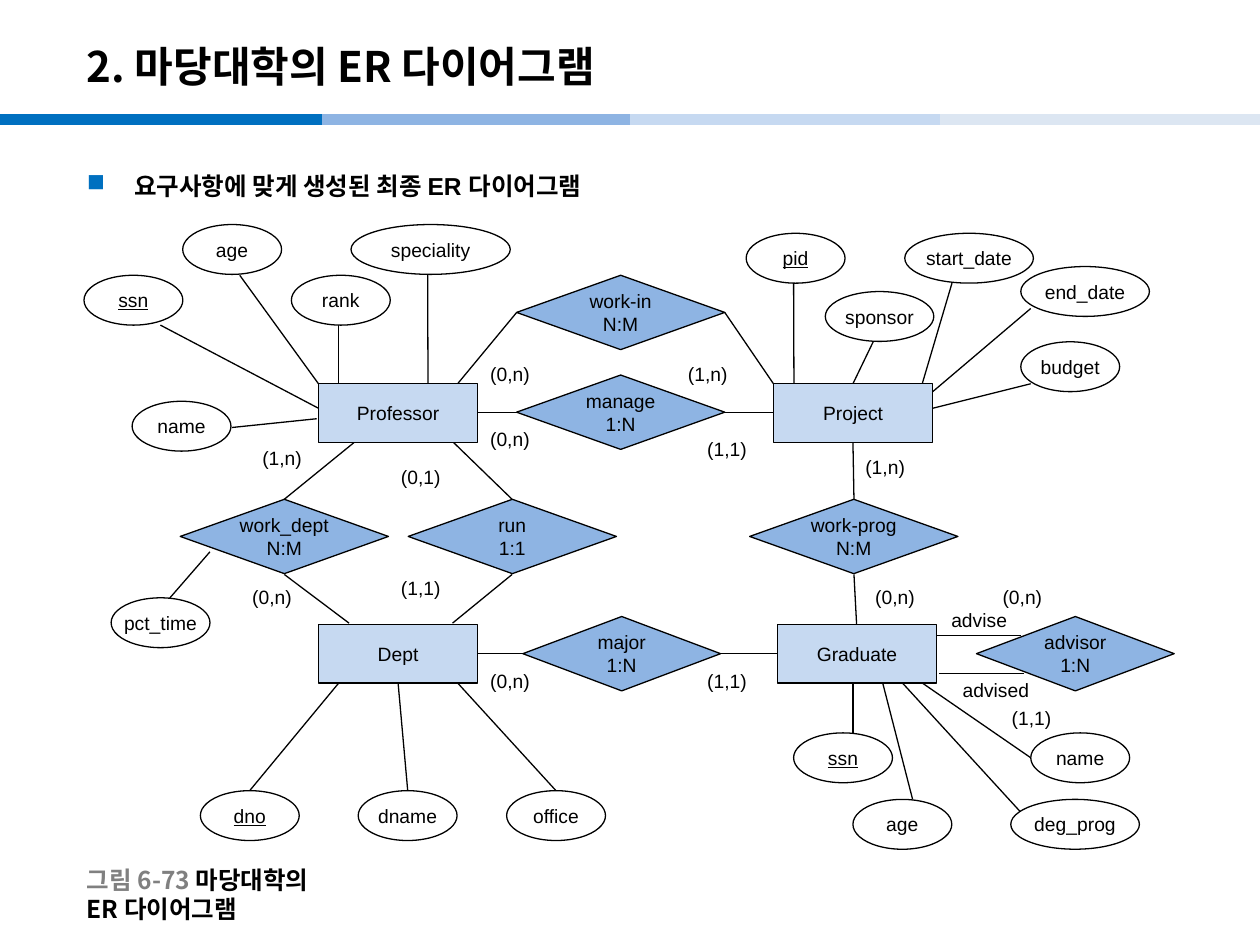
import collections
import pptx
import pptx.dml.color
import pptx.enum.shapes
import pptx.enum.text
import pptx.oxml
import pptx.oxml.ns
import pptx.util

Pt = pptx.util.Pt
Shape = pptx.enum.shapes.MSO_SHAPE
Align = pptx.enum.text.PP_ALIGN
Anchor = pptx.enum.text.MSO_ANCHOR
AutoSize = pptx.enum.text.MSO_AUTO_SIZE
Box = collections.namedtuple("Box", "left top width height")


class Theme:
    ink, muted, paper = "000000", "808080", "FFFFFF"
    accent, relationship, entity, pale = "0070C0", "8EB4E3", "C6D9F1", "DCE6F2"
    latin, korean = "Arial", "Noto Sans CJK KR"
    title, lead, label = 24, 14, 11
    rule, stripe = 0.75, 6


ENTITIES = [
    ("Professor", 134, 91), ("Project", 394, 91),
    ("Dept", 134, 228.5), ("Graduate", 396.3, 228.5),
]
RELATIONSHIPS = [
    ("work-in", "N:M", 247.2, 29, 119), ("manage", "1:N", 247.2, 86, 119),
    ("work_dept", "N:M", 55, 157, 119), ("run", "1:1", 185.3, 157, 119),
    ("work-prog", "N:M", 380.4, 157, 119),
    ("major", "1:N", 250.8, 224, 113), ("advisor", "1:N", 510, 224, 113),
]
ATTRIBUTES = [
    ("age", 56.4, 0, 56.5), ("ssn", 0, 29, 56.5), ("rank", 118.5, 29, 56.5),
    ("speciality", 152.6, 0, 91), ("name", 27.5, 101, 56.5),
    ("pct_time", 15.5, 213.3, 56.5),
    ("pid", 378.4, 5, 56.5), ("sponsor", 423.6, 38.3, 62),
    ("start_date", 469, 5, 73.5), ("end_date", 535.3, 24, 73.5),
    ("budget", 535.3, 67, 56.5),
    ("dno", 66.5, 323.5, 56.5), ("dname", 156.7, 323.5, 56.5),
    ("office", 241.5, 323.5, 56.5),
    ("ssn", 405.5, 290.5, 56.5), ("age", 439.4, 328.5, 56.5),
    ("deg_prog", 529.6, 328.5, 73.5), ("name", 541, 290.5, 56.5),
]
KEYS = {"ssn", "pid", "dno"}
ATTRIBUTE_LINKS = [
    (43.7, 57.5, 134, 105), (89, 29, 134, 91), (145.6, 57.5, 145.6, 91),
    (196.4, 28.5, 196.6, 91), (84.5, 116, 133, 111), (72, 187, 49, 213.5),
    (405.5, 33.5, 405.7, 91), (451, 67, 439.4, 91), (496, 33.5, 479, 91),
    (541, 48, 485, 95.5), (541, 91, 485, 105),
    (145.6, 262, 94.7, 323.5), (179.5, 262, 185, 323.5),
    (213.5, 262, 269.7, 323.5),
    (439.4, 262, 439.4, 290.5), (456.4, 262, 473.5, 328.5),
    (467.7, 262, 535, 335.5), (479, 262, 541, 304.7),
]
RELATIONSHIP_LINKS = [
    (247.2, 50.3, 213.5, 91), (366.2, 50.3, 394, 91),
    (225, 107.3, 247.2, 107.3), (366.2, 107.3, 394, 107.3),
    (114.5, 157, 156.5, 122.8), (114.5, 200, 151.5, 227.8),
    (210.6, 124, 244.6, 157), (244.6, 200, 210.6, 227.8),
    (439.4, 124, 440, 157), (440, 200, 441.5, 228.5),
    (225, 245.3, 250.8, 245.3), (363.8, 245.3, 396.3, 245.3),
    (487, 235, 535.3, 235), (488.6, 256.7, 537, 256.7),
]
LABELS = [
    ("(0,n)", 225, 112.5, 45), ("(1,1)", 349, 118, 40),
    ("(1,n)", 338, 75, 40), ("(0,n)", 225, 75, 40),
    ("(1,n)", 94.8, 123, 45), ("(0,n)", 89, 202.8, 51),
    ("(1,1)", 174, 197.3, 40), ("(0,1)", 174, 133.8, 40),
    ("(0,n)", 225, 250.5, 51), ("(1,1)", 349, 250.5, 40),
    ("(1,n)", 439.4, 128.3, 40), ("(0,n)", 445, 202.8, 40),
    ("advise", 488.5, 215.5, 56), ("advised", 495, 256, 56),
    ("(0,n)", 517.8, 202.8, 40), ("(1,1)", 523, 271.8, 40),
]


def apply(target, **values):
    for name, value in values.items():
        setattr(target, name, value)


def color(value):
    return pptx.dml.color.RGBColor.from_string(value)


def add_span(para, text, size, face=Theme.latin, ink=Theme.ink, **style):
    span = para.add_run()
    span.text = text
    apply(span.font, name=face, size=Pt(size), **style)
    span.font.color.rgb = color(ink)
    east_asian = pptx.oxml.parse_xml(
        f'<a:ea {pptx.oxml.ns.nsdecls("a")} typeface="{Theme.korean}"/>')
    span.font._element.find(pptx.oxml.ns.qn("a:latin")).addnext(east_asian)


def add_text_box(page, box):
    return page.shapes.add_textbox(*map(Pt, box)).text_frame


def add_line(page, ends, ink=Theme.ink, width=Theme.rule):
    line = page.shapes.add_connector(
        pptx.enum.shapes.MSO_CONNECTOR.STRAIGHT, *map(Pt, ends))
    apply(line.line, width=Pt(width))
    line.line.color.rgb = color(ink)
    line._element.spPr.append(pptx.oxml.parse_xml(
        f'<a:effectLst {pptx.oxml.ns.nsdecls("a")}/>'))


def add_node(page, kind, box, fill, lines, underline=None):
    node = page.shapes.add_shape(kind, *map(Pt, box))
    node.shadow.inherit = False
    node.fill.solid()
    node.fill.fore_color.rgb = color(fill)
    node.line.color.rgb = color(Theme.ink)
    node.line.width = Pt(Theme.rule)
    frame = node.text_frame
    apply(frame, word_wrap=False, vertical_anchor=Anchor.MIDDLE)
    for index, text in enumerate(lines):
        para = frame.add_paragraph() if index else frame.paragraphs[0]
        para.alignment = Align.CENTER
        add_span(para, text, Theme.label, underline=underline)


def draw_stripes(page, box):
    starts = (0, 184.3, 360, 537)
    shades = (Theme.accent, Theme.relationship, Theme.entity, Theme.pale)
    for start, shade in zip(starts, shades):
        left = box.left + start
        add_line(page, (left, box.top, left + box.width, box.top), shade, Theme.stripe)


def draw_title(page, box):
    title = page.shapes.title
    apply(title, **{side: Pt(value) for side, value in box._asdict().items()})
    apply(title.text_frame, word_wrap=True, vertical_anchor=Anchor.MIDDLE)
    para = title.text_frame.paragraphs[0]
    para.alignment = Align.LEFT
    add_span(para, "2. 마당대학의 ER 다이어그램", Theme.title, Theme.korean, bold=True)


def draw_lead(page, box):
    frame = add_text_box(page, box)
    frame.word_wrap = True
    para = frame.paragraphs[0]
    properties = para._p.get_or_add_pPr()
    apply(para, line_spacing=1.5)
    properties.set("marL", str(Pt(27)))
    properties.set("indent", str(Pt(-27)))
    names = pptx.oxml.ns.nsdecls("a")
    for markup in (f'<a:buClr {names}><a:srgbClr val="{Theme.accent}"/></a:buClr>',
                   f'<a:buChar {names} char="■"/>'):
        properties.append(pptx.oxml.parse_xml(markup))
    add_span(para, "요구사항에 맞게 생성된 최종 ER 다이어그램", Theme.lead, bold=True)


def draw_diagram(page, box):
    def place(left, top, width, height):
        return Box(box.left + left, box.top + top, width, height)

    for x1, y1, x2, y2 in ATTRIBUTE_LINKS + RELATIONSHIP_LINKS:
        add_line(page, (box.left + x1, box.top + y1, box.left + x2, box.top + y2))
    for name, left, top in ENTITIES:
        add_node(page, Shape.RECTANGLE, place(left, top, 91, 33.5), Theme.entity, [name])
    for name, ratio, left, top, width in RELATIONSHIPS:
        add_node(page, Shape.DIAMOND, place(left, top, width, 42.5),
                 Theme.relationship, [name, ratio])
    for name, left, top, width in ATTRIBUTES:
        add_node(page, Shape.OVAL, place(left, top, width, 28.5), Theme.paper,
                 [name], name in KEYS or None)
    for text, left, top, width in LABELS:
        frame = add_text_box(page, place(left, top, width, 18))
        apply(frame, word_wrap=True, auto_size=AutoSize.SHAPE_TO_FIT_TEXT)
        add_span(frame.paragraphs[0], text, Theme.label)


def draw_caption(page, box):
    frame = add_text_box(page, box)
    apply(frame, word_wrap=False, vertical_anchor=Anchor.MIDDLE)
    para = frame.paragraphs[0]
    for text, ink in (("그림 6-73 ", Theme.muted), ("마당대학의 ER 다이어그램", Theme.ink)):
        add_span(para, text, Theme.lead, Theme.korean, ink, bold=True)


def main():
    deck = pptx.Presentation()
    apply(deck, slide_width=Pt(720), slide_height=Pt(540))
    page = deck.slides.add_slide(deck.slide_layouts[5])
    draw_stripes(page, Box(0, 68.4, 184.3, 6))
    draw_title(page, Box(42.5, 16, 595.5, 43))
    draw_lead(page, Box(42.5, 85.7, 635, 430.5))
    draw_diagram(page, Box(48, 128.3, 624, 357))
    draw_caption(page, Box(42.5, 500, 147.5, 22))
    deck.save("out.pptx")


if __name__ == "__main__":
    main()
